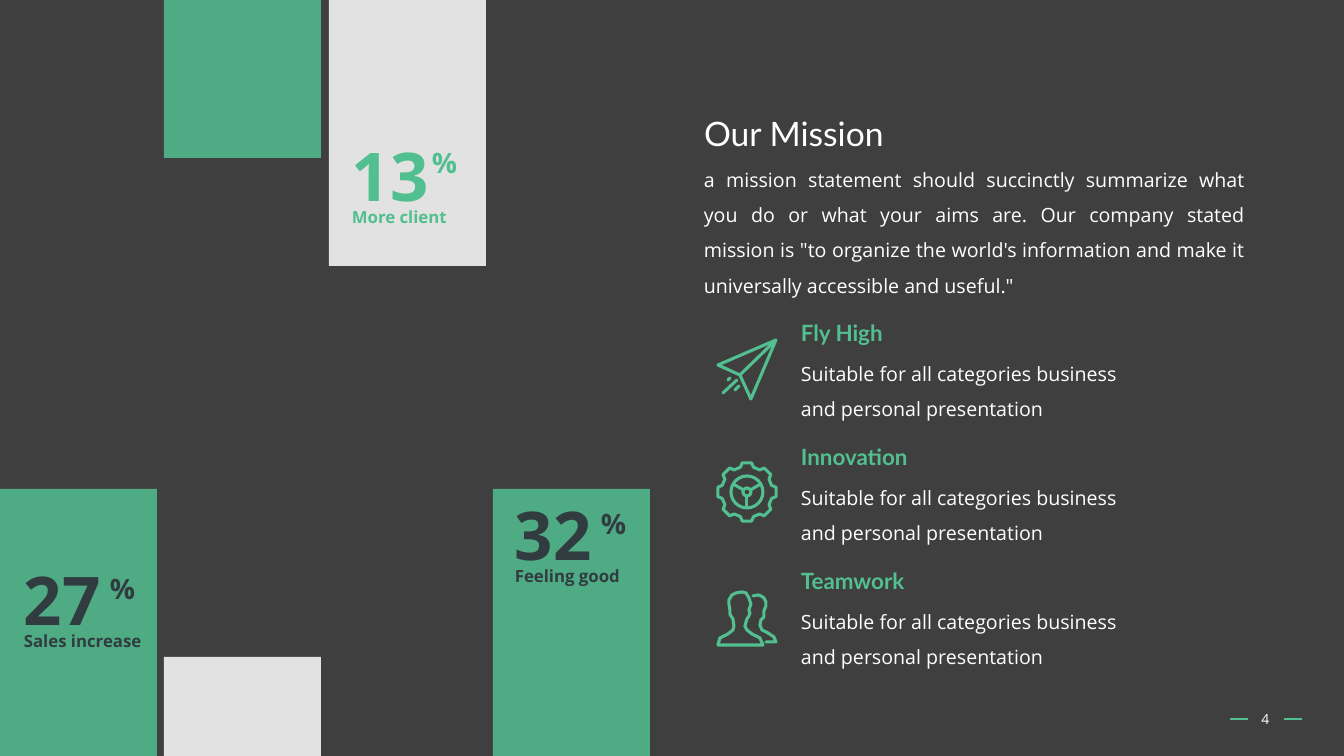
"""Build the Our Mission slide with statistic cards and three values."""
from dataclasses import dataclass
from math import cos, radians, sin

from lxml import etree
from pptx import Presentation
from pptx.dml.color import RGBColor
from pptx.enum.shapes import MSO_CONNECTOR, MSO_SHAPE
from pptx.enum.text import MSO_ANCHOR, MSO_AUTO_SIZE, PP_ALIGN
from pptx.oxml.ns import qn
from pptx.util import Emu, Pt

RECTANGLE, OVAL = MSO_SHAPE.RECTANGLE, MSO_SHAPE.OVAL
STRAIGHT = MSO_CONNECTOR.STRAIGHT
TOP, MIDDLE = MSO_ANCHOR.TOP, MSO_ANCHOR.MIDDLE
LEFT, CENTER, JUSTIFY = PP_ALIGN.LEFT, PP_ALIGN.CENTER, PP_ALIGN.JUSTIFY
FIT_SHAPE, FIXED = MSO_AUTO_SIZE.SHAPE_TO_FIT_TEXT, MSO_AUTO_SIZE.NONE

DARK = RGBColor(0x3F, 0x3F, 0x3F)
GREEN = RGBColor(0x52, 0xBF, 0x90)
WHITE = RGBColor(0xFF, 0xFF, 0xFF)
SLATE = RGBColor(0x31, 0x3C, 0x41)
HEADING_FONT, BODY_FONT = "Lato", "Open Sans"
EMU_PER_PX = 914400 / 100.8
TITLE_ONLY = 5
CARD_WIDTH = 157
ICON_STROKE = 2.2
FEATURE_TOP, FEATURE_PITCH = 314, 124

Box = tuple[int, int, int, int]
Contour = list[tuple[float, float]]


@dataclass(frozen=True)
class Card:
    left: int
    top: int
    height: int
    color: RGBColor


@dataclass(frozen=True)
class Statistic:
    left: int
    top: int
    number: str
    label: str
    percent_left: int
    percent_top: int
    color: RGBColor


@dataclass(frozen=True)
class Feature:
    heading: str
    width: int


CARDS = [
    Card(0, 489, 267, GREEN),
    Card(164, 657, 99, WHITE),
    Card(164, 0, 158, GREEN),
    Card(329, 0, 266, WHITE),
    Card(493, 489, 267, GREEN),
]
STATISTICS = [
    Statistic(14, 553, "27", "Sales increase", 100, 567, SLATE),
    Statistic(342, 129, "13", "More client", 422, 141, GREEN),
    Statistic(505, 488, "32", "Feeling good", 591, 502, SLATE),
]
FEATURES = [Feature("Fly High", 104), Feature("Innovation", 129), Feature("Teamwork", 128)]
FEATURE_TEXT = "Suitable for all categories business and personal presentation"
MISSION = (
    "a mission statement should succinctly summarize what you do or what your aims are. "
    "Our company stated mission is \"to organize the world's information and make it "
    "universally accessible and useful.\""
)
PLANE = [
    [(740, 375), (718, 365), (776, 340), (751, 399), (740, 375), (776, 340)],
    [(723, 393), (737, 380)],
    [(735, 390), (739, 386)],
    [(728, 380), (730, 378)],
]
PEOPLE = [
    [(718, 645), (720, 638), (728, 634), (733, 630), (734, 626), (733, 619), (731, 616),
     (730, 614), (730, 610), (729, 604), (729, 600), (732, 595), (736, 593), (742, 592),
     (746, 593), (749, 598), (751, 604), (749, 610), (750, 613), (749, 616), (747, 619),
     (745, 626), (747, 630), (752, 634), (760, 638), (763, 645), (718, 645)],
    [(753, 596), (758, 595), (761, 596), (764, 598), (766, 602), (766, 606), (764, 611),
     (764, 617), (761, 620), (760, 625), (762, 630), (768, 633), (774, 637), (776, 642),
     (766, 642)],
]
GEAR_CENTER = (747, 492)


def px(value: float) -> Emu:
    """Convert pixels to EMU."""
    return Emu(round(value * EMU_PER_PX))


def place(shape, box: Box) -> None:
    """Move and size a shape."""
    shape.left, shape.top, shape.width, shape.height = map(px, box)


def write(shape, text: str, *, size: int, font: str = BODY_FONT, color: RGBColor = WHITE,
          bold: bool = False, align=LEFT, anchor=TOP, spacing: float = 1.0,
          wrap: bool = True) -> None:
    """Put formatted text into a shape."""
    frame = shape.text_frame
    frame.word_wrap = wrap
    frame.auto_size = FIXED if wrap else FIT_SHAPE
    frame.vertical_anchor = anchor
    paragraph = frame.paragraphs[0]
    paragraph.alignment = align
    paragraph.line_spacing = spacing
    run = paragraph.add_run()
    run.text = text
    run.font.name, run.font.size, run.font.bold = font, Pt(size), bold
    run.font.color.rgb = color


def add_text(slide, box: Box, text: str, **text_format) -> None:
    """Add a text box."""
    write(slide.shapes.add_textbox(*map(px, box)), text, **text_format)


def add_card(slide, card: Card) -> None:
    """Add a translucent rectangle."""
    box = (card.left, card.top, CARD_WIDTH, card.height)
    shape = slide.shapes.add_shape(RECTANGLE, *map(px, box))
    shape.shadow.inherit = False
    shape.fill.solid()
    shape.fill.fore_color.rgb = card.color
    shape.line.fill.background()
    color = shape.fill._xPr.find(f".//{qn('a:srgbClr')}")
    etree.SubElement(color, qn("a:alpha"), val="85000")


def add_statistic(slide, statistic: Statistic) -> None:
    """Add a number, its percent sign and its label."""
    left, top, color = statistic.left, statistic.top, statistic.color
    add_text(slide, (left, top, 98, 92), statistic.number, size=48, color=color, bold=True, wrap=False)
    add_text(slide, (left, top + 73, 145, 30), statistic.label, size=12, color=color, bold=True)
    add_text(slide, (statistic.percent_left, statistic.percent_top, 45, 44), "%",
             size=20, color=color, bold=True, wrap=False)


def add_feature(slide, feature: Feature, top: int) -> None:
    """Add a heading with its description."""
    add_text(slide, (791, top, feature.width, 37), feature.heading, size=16,
             font=HEADING_FONT, color=GREEN, bold=True, wrap=False)
    add_text(slide, (791, top + 31, 352, 78), FEATURE_TEXT, size=14, spacing=1.5)


def stroke_icon(shape) -> None:
    """Give an icon part a rounded green outline."""
    shape.shadow.inherit = False
    shape.fill.background()
    shape.line.color.rgb = GREEN
    shape.line.width = Pt(ICON_STROKE)
    line = shape.line._get_or_add_ln()
    line.set("cap", "rnd")
    etree.SubElement(line, qn("a:round"))


def add_icon(slide, contours: list[Contour]) -> None:
    """Draw an icon from open or closed contours."""
    builder = slide.shapes.build_freeform(*map(px, contours[0][0]), scale=1.0)
    for contour in contours:
        points = [(px(x), px(y)) for x, y in contour]
        builder.move_to(*points[0])
        builder.add_line_segments(points[1:], close=contour[0] == contour[-1])
    stroke_icon(builder.convert_to_shape())


def gear_point(radius: float, angle: float) -> tuple[float, float]:
    """Return a point around the gear centre."""
    x, y = GEAR_CENTER
    return x + radius * cos(radians(angle)), y + radius * sin(radians(angle))


def add_gear(slide) -> None:
    """Draw an eight-toothed gear with three spokes."""
    profile = [(25.5, -15), (29.5, -9), (29.5, 9), (25.5, 15)]
    rim = [gear_point(radius, tooth + angle) for tooth in range(0, 360, 45) for radius, angle in profile]
    spokes = [[gear_point(5, angle), gear_point(15, angle)] for angle in (90, 210, 330)]
    add_icon(slide, [rim + rim[:1], *spokes])
    x, y = GEAR_CENTER
    for radius in (16, 4):
        box = (x - radius, y - radius, 2 * radius, 2 * radius)
        stroke_icon(slide.shapes.add_shape(OVAL, *map(px, box)))


def add_dash(slide, left: int) -> None:
    """Add a short line beside the page number."""
    dash = slide.shapes.add_connector(STRAIGHT, px(left), px(719), px(left + 18), px(719))
    dash.line.color.rgb = GREEN
    dash.line.width = Pt(1.75)
    etree.SubElement(dash._element.spPr, qn("a:effectLst"))


def main() -> None:
    """Build and save the slide."""
    presentation = Presentation()
    presentation.slide_width, presentation.slide_height = px(1344), px(756)
    slide = presentation.slides.add_slide(presentation.slide_layouts[TITLE_ONLY])
    slide.background.fill.solid()
    slide.background.fill.fore_color.rgb = DARK
    for left in (1230, 1284):
        add_dash(slide, left)
    add_text(slide, (1236, 699, 59, 40), "4", size=10, align=CENTER, anchor=MIDDLE)
    for card in CARDS:
        add_card(slide, card)
    place(slide.shapes.title, (694, 108, 436, 50))
    write(slide.shapes.title, "Our Mission", size=24, font=HEADING_FONT)
    add_text(slide, (694, 151, 561, 167), MISSION, size=14, align=JUSTIFY, spacing=1.5)
    for statistic in STATISTICS:
        add_statistic(slide, statistic)
    for index, feature in enumerate(FEATURES):
        add_feature(slide, feature, FEATURE_TOP + index * FEATURE_PITCH)
    add_icon(slide, PLANE)
    add_gear(slide)
    add_icon(slide, PEOPLE)
    presentation.save("out.pptx")


if __name__ == "__main__":
    main()
